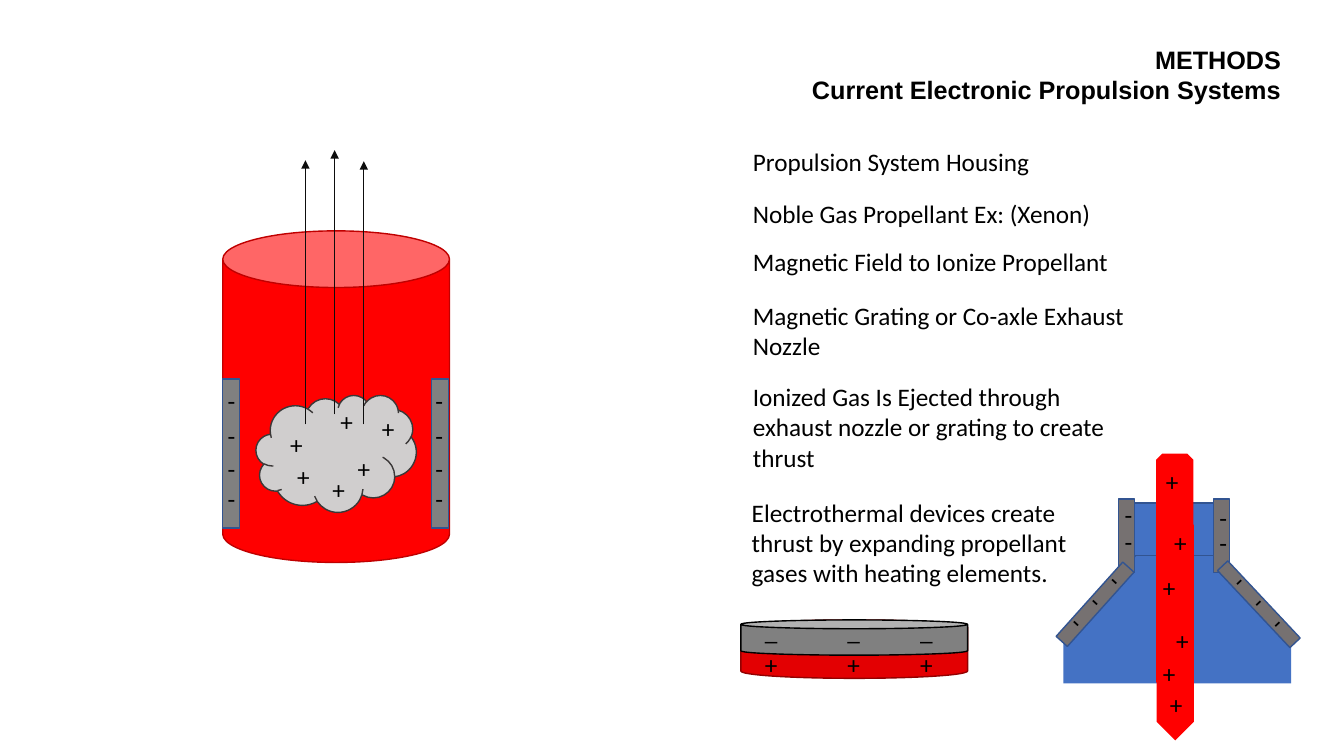
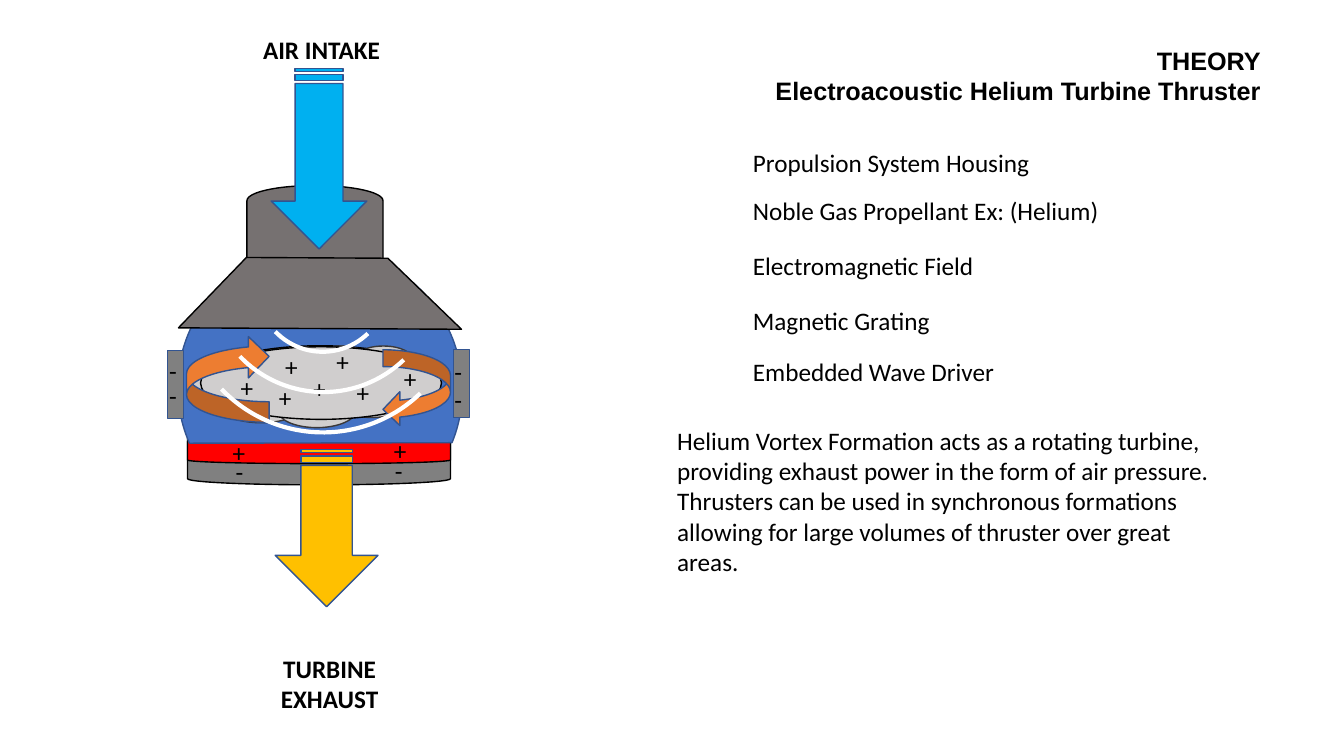
from dataclasses import dataclass
from itertools import product

from lxml import etree
from pptx import Presentation
from pptx import util as u
from pptx.dml.color import RGBColor
from pptx.enum import shapes, text
from pptx.oxml.ns import qn

COLORS = {
    "black": "000000", "white": "FFFFFF", "ink": "0D0D0D", "charcoal": "3B3838",
    "red": "FF0000", "dark red": "C00000", "crimson": "E30002", "maroon": "930001",
    "blue": "4472C4", "navy": "325491", "sky": "00B0F0", "orange": "ED7D31",
    "gold": "FFC000", "gray": "808080", "warm gray": "767171", "mist": "D0CECE",
}
BODY_FONT, TITLE_FONT = "Calibri", "Arial"
TEXT_SIZE = u.Pt(18)
LINE_HEIGHT = 0.4
UNIT_CM = 2.54  # layout grid: one unit is 2.54 cm
A = text.PP_ALIGN
M = shapes.MSO_SHAPE


@dataclass
class Part:
    """A filled or outlined piece of a thruster drawing."""
    kind: M
    x: float
    y: float
    w: float
    h: float
    fill: str | None
    line: str | None = "navy"
    rot: float = 0
    weight: float = 1


@dataclass
class Charges:
    """One charge sign repeated at several places."""
    sign: str
    width: float
    places: list[tuple[float, float]]
    rot: float = 0


@dataclass
class Label:
    """A free-standing block of text."""
    words: str
    x: float
    y: float
    w: float
    lines: int = 1
    bold: bool = False
    align: A = A.LEFT


@dataclass
class Item:
    """A list entry with the space above it in points."""
    words: str
    before: float = 0


def grid(value: float) -> u.Length:
    """Turn layout units into a length."""
    return u.Cm(value * UNIT_CM)


def color(name: str) -> RGBColor:
    """Look up a named colour."""
    return RGBColor.from_string(COLORS[name])


def place(sp, x: float, y: float, w: float, h: float) -> None:
    """Move and size a shape."""
    sp.left, sp.top, sp.width, sp.height = map(grid, (x, y, w, h))


def write(p, words: str, font: str = BODY_FONT, bold: bool = False,
          align: A = A.LEFT, before: float = 0) -> None:
    """Add a formatted run to a paragraph."""
    p.alignment, p.line_spacing, p.space_before = align, 1.0, u.Pt(before)
    r = p.add_run()
    r.text = words
    r.font.name, r.font.size, r.font.bold = font, TEXT_SIZE, bold
    r.font.color.rgb = color("black")


def paragraphs(tf, count: int) -> list:
    """Return the frame's first paragraph and the added ones."""
    return [tf.paragraphs[0]] + [tf.add_paragraph() for _ in range(count - 1)]


def prepare(tf) -> None:
    """Give a placeholder frame fixed size, wrapping and top anchor."""
    tf.auto_size = text.MSO_AUTO_SIZE.NONE
    tf.word_wrap = True
    tf.vertical_anchor = text.MSO_ANCHOR.TOP


def new_slide(prs, heading: list[str], title_box: tuple, items: list[Item],
              list_box: tuple):
    """Add a slide with its right-aligned title and plain list."""
    s = prs.slides.add_slide(prs.slide_layouts[1])
    title, body = s.shapes.title, s.placeholders[1]
    place(title, *title_box)
    place(body, *list_box)
    for sp in (title, body):
        prepare(sp.text_frame)
    for p, words in zip(paragraphs(title.text_frame, len(heading)), heading):
        write(p, words, TITLE_FONT, True, A.RIGHT)
    for p, item in zip(paragraphs(body.text_frame, len(items)), items):
        write(p, item.words, before=item.before)
        pPr = p._p.get_or_add_pPr()
        pPr.set("marL", "0")
        pPr.set("indent", "0")
        etree.SubElement(pPr, qn("a:buNone"))
    return s


def draw_part(s, part: Part) -> None:
    """Draw one preset shape."""
    sp = s.shapes.add_shape(part.kind, *map(grid, (part.x, part.y, part.w, part.h)))
    sp.shadow.inherit = False
    sp.rotation = part.rot
    if part.fill:
        sp.fill.solid()
        sp.fill.fore_color.rgb = color(part.fill)
    else:
        sp.fill.background()
    if part.line:
        sp.line.color.rgb = color(part.line)
        sp.line.width = u.Pt(part.weight)
    else:
        sp.line.fill.background()


def draw_label(s, label: Label, rot: float = 0) -> None:
    """Draw one text box."""
    height = LINE_HEIGHT + 0.3 * (label.lines - 1)
    sp = s.shapes.add_textbox(*map(grid, (label.x, label.y, label.w, height)))
    sp.rotation = rot
    tf = sp.text_frame
    tf.word_wrap = True
    tf.auto_size = text.MSO_AUTO_SIZE.SHAPE_TO_FIT_TEXT
    write(tf.paragraphs[0], label.words, bold=label.bold, align=label.align)


def draw_jet(s, x: float, bottom: float, top: float) -> None:
    """Draw a thin upward exhaust arrow."""
    c = s.shapes.add_connector(shapes.MSO_CONNECTOR.STRAIGHT,
                               *map(grid, (x, bottom, x, top)))
    c.line.color.rgb = color("ink")
    c.line.width = u.Pt(0.5)
    spPr = c._element.spPr
    etree.SubElement(spPr.find(qn("a:ln")), qn("a:tailEnd"), type="triangle")
    etree.SubElement(spPr, qn("a:effectLst"))


def draw_all(s, pieces: list) -> None:
    """Draw parts, charges and labels from back to front."""
    for piece in pieces:
        if isinstance(piece, Part):
            draw_part(s, piece)
        elif isinstance(piece, Label):
            draw_label(s, piece)
        else:
            for x, y in piece.places:
                draw_label(s, Label(piece.sign, x, y, piece.width), piece.rot)


def methods_slide(prs) -> None:
    """Build the overview of current propulsion systems."""
    s = new_slide(
        prs, ["METHODS", "Current Electronic Propulsion Systems"],
        (7.19, 0.39, 5.62, 0.71),
        [Item("Propulsion System Housing"),
         Item("Noble Gas Propellant Ex: (Xenon)", 15.5),
         Item("Magnetic Field to Ionize Propellant", 12.6),
         Item("Magnetic Grating or Co-axle Exhaust Nozzle", 17),
         Item("Ionized Gas Is Ejected through exhaust nozzle or grating "
              "to create thrust", 15)],
        (7.37, 1.4, 3.96, 3.37))
    draw_all(s, [
        Part(M.CAN, 2.21, 2.29, 2.25, 3.29, "red", "dark red"),
        *[Part(M.RECTANGLE, x, 3.76, 0.17, 1.48, "gray") for x in (2.21, 4.28)],
        Part(M.CLOUD, 2.54, 3.92, 1.59, 1.16, "mist", "charcoal"),
    ])
    for x, bottom, top in ((3.03, 4.21, 1.59), (3.61, 4.21, 1.6), (3.32, 4.11, 1.49)):
        draw_jet(s, x, bottom, top)
    chamber = [
        Charges("+", 0.6, [(2.85, 4.53), (3.2, 4.66), (3.45, 4.45),
                           (2.78, 4.21), (3.69, 4.05), (3.28, 3.98)]),
        Charges("-", 0.35, list(product((4.22, 2.16), (3.77, 4.12, 4.45, 4.75)))),
    ]
    grating = [
        Part(M.CAN, 7.35, 6.15, 2.25, 0.58, "crimson", "maroon"),
        Part(M.CAN, 7.35, 6.15, 2.25, 0.35, "gray", "black"),
        *[Charges(sign, 0.48, [(x, y) for x in (7.49, 8.31, 9.03)])
          for sign, y in (("_", 6.06), ("+", 6.39))],
    ]
    nozzle = [
        Part(M.ISOSCELES_TRIANGLE, 10.55, 5.04, 2.25, 1.3, "blue"),
        Part(M.RECTANGLE, 10.55, 6.33, 2.26, 0.45, "blue", None),
        Part(M.RECTANGLE, 11.25, 4.99, 0.84, 0.52, "blue"),
        Part(M.PENTAGON, 10.59, 6.09, 2.14, 0.37, "red", None, 90),
        Part(M.SNIP_2_SAME_RECTANGLE, 11.47, 4.5, 0.37, 2.27, "red", None),
        *[Part(M.RECTANGLE, x, 4.95, 0.16, 0.73, "warm gray") for x in (12.04, 11.1)],
        Part(M.RECTANGLE, 10.79, 5.5, 0.15, 0.99, "warm gray", rot=41.9),
        Part(M.RECTANGLE, 12.42, 5.47, 0.14, 1.05, "warm gray", rot=316.8),
        Charges("+", 0.48, [(11.47, 4.58), (11.55, 5.18), (11.44, 5.63),
                            (11.57, 6.15), (11.44, 6.48), (11.51, 6.79)]),
        Charges("-", 0.41, [(11.06, 4.9), (11.06, 5.17), (12, 4.93), (12, 5.18)]),
        Charges("-", 0.41, [(10.92 - 0.19 * i, 5.6 + 0.21 * i) for i in range(3)], 43.3),
        Charges("-", 0.41, [(12.12 + 0.19 * i, 5.51 + 0.21 * i) for i in range(3)], 316.1),
    ]
    draw_all(s, chamber + grating + nozzle + [
        Label("Electrothermal devices create thrust by expanding propellant "
              "gases with heating elements.", 7.36, 4.88, 3.35, 3)])


def theory_slide(prs) -> None:
    """Build the helium turbine thruster slide."""
    s = new_slide(
        prs, ["THEORY", "Electroacoustic Helium Turbine Thruster"],
        (5.01, 0.4, 7.6, 0.71),
        [Item("Propulsion System Housing"),
         Item("Noble Gas Propellant Ex: (Helium)", 12.6),
         Item("Electromagnetic Field", 17.6),
         Item("Magnetic Grating", 17.6),
         Item("Embedded Wave Driver", 15.5)],
        (7.37, 1.41, 5.27, 2.51))
    driver = [
        Part(M.CAN, 1.86, 4.32, 2.61, 0.49, "gray", "black"),
        Part(M.CAN, 1.86, 4.31, 2.61, 0.29, "red", "black"),
        Charges("+", 0.56, [(2.21, 4.29), (3.81, 4.27)]),
        Charges("-", 0.56, [(2.24, 4.48), (3.82, 4.47)]),
    ]
    housing = [
        Part(M.CHORD, 1.78, 2.44, 2.79, 2.83, "blue", rot=112.3),
        Part(M.CAN, 2.45, 1.84, 1.35, 1.2, "warm gray", "black", 180),
        Part(M.DIAGONAL_STRIPE, 2.16, 2.29, 2.03, 1.94, "warm gray", "black", 44),
    ]
    vortex = [
        Part(M.OVAL, 1.98, 3.43, 2.39, 0.72, "mist", "black"),
        Part(M.CLOUD, 1.87, 3.43, 2.49, 0.81, "mist", "charcoal"),
        Part(M.OVAL, 1.99, 3.44, 2.39, 0.72, "mist", "black"),
        Part(M.CURVED_LEFT_ARROW, 3.8, 3.47, 0.67, 0.76, "orange"),
        Part(M.CURVED_DOWN_ARROW, 1.83, 3.35, 0.86, 0.82, "orange", rot=270),
        Part(M.STRIPED_RIGHT_ARROW, 2.46, 4.73, 1.56, 1.02, "gold", rot=90),
        Charges("+", 0.4, [(3.01, 3.65), (3.44, 3.69), (2.73, 3.44), (3.24, 3.39),
                           (3.91, 3.56), (2.67, 3.74), (2.29, 3.64)]),
    ]
    waves = [Part(M.ARC, x, y, size, size, None, "white", 136.2, 3)
             for x, y, size in ((2.55, 2.19, 1.3), (2.06, 1.59, 2.3), (1.81, 1.5, 2.79))]
    magnets = [
        *[Part(M.RECTANGLE, x, y, 0.16, 0.67, "gray") for x, y in ((4.5, 3.47), (1.66, 3.48))],
        Charges("-", 0.56, [(4.41, 3.76), (4.41, 3.49), (1.58, 3.48), (1.58, 3.72)]),
    ]
    labels = [
        Label("Helium Vortex Formation acts as a rotating turbine, providing exhaust "
              "power in the form of air pressure. Thrusters can be used in synchronous "
              "formations allowing for large volumes of thruster over great areas.",
              6.62, 4.17, 5.58, 5),
        Label("AIR INTAKE", 2.39, 0.29, 1.6, 1, True, A.CENTER),
        Label("TURBINE EXHAUST", 2.47, 6.43, 1.6, 2, True, A.CENTER),
    ]
    intake = Part(M.STRIPED_RIGHT_ARROW, 2.27, 1.1, 1.79, 0.95, "sky", rot=90)
    draw_all(s, driver + housing + vortex + waves + magnets + [intake] + labels)


def main() -> None:
    """Build and save the presentation."""
    prs = Presentation()
    prs.slide_width, prs.slide_height = u.Cm(33.87), u.Cm(19.05)
    methods_slide(prs)
    theory_slide(prs)
    prs.save("out.pptx")


main()
